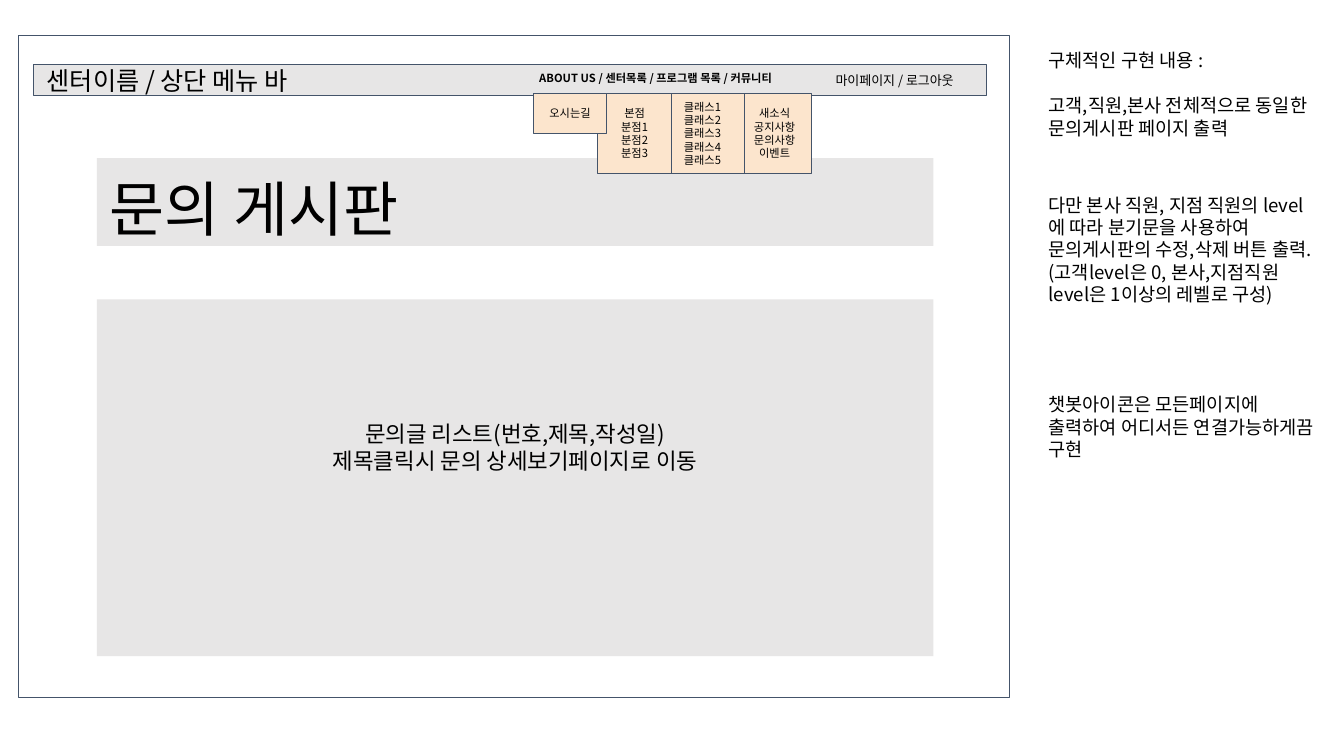
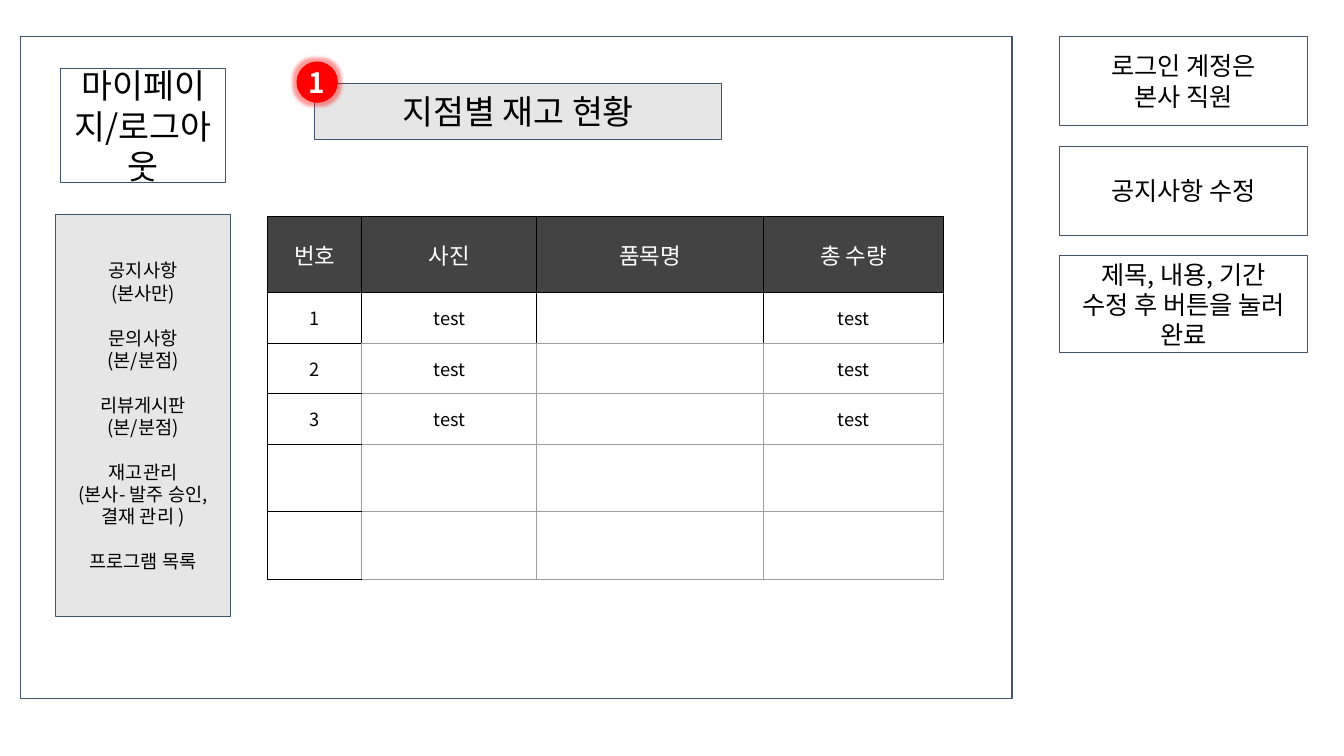
from dataclasses import dataclass
from lxml import etree
from pptx import Presentation, util as u
from pptx.dml.color import RGBColor
from pptx.enum import shapes, text
from pptx.oxml import ns

WIDTH, HEIGHT = u.Inches(13.33), u.Inches(7.5)


@dataclass(frozen=True)
class Theme:
    font: str = "Noto Sans CJK KR"
    black: str = "000000"
    white: str = "FFFFFF"
    panel: str = "E7E6E6"
    outline: str = "44546A"
    menu: str = "FCE5CD"
    header: str = "434343"
    grid: str = "9E9E9E"
    badge: str = "FF0000"
    hero: float = 42.7
    title: float = 24
    badge_size: float = 20
    heading: float = 18
    body: float = 16
    note: float = 13.3
    cell: float = 13
    login: float = 9.3
    small: float = 8
    line_width: float = 0.75
    inset: float = 0.13


THEME = Theme()
CENTER, LEFT = text.PP_ALIGN.CENTER, text.PP_ALIGN.LEFT
TOP, MIDDLE = text.MSO_ANCHOR.TOP, text.MSO_ANCHOR.MIDDLE


def apply(target, values):
    for name, value in values.items():
        setattr(target, name, value)


def percent_box(left, top, width, height):
    return [round(share * side / 100) for share, side in
            ((left, WIDTH), (top, HEIGHT), (width, WIDTH), (height, HEIGHT))]


def write_run(paragraph, words, size, color=THEME.black, bold=False):
    run = paragraph.add_run()
    run.text = words
    apply(run.font, {"name": THEME.font, "size": u.Pt(size), "bold": bold})
    run.font.color.rgb = RGBColor.from_string(color)
    latin = run.font._element.find(ns.qn("a:latin"))
    east_asian = etree.Element(ns.qn("a:ea"), typeface=THEME.font)
    latin.addnext(east_asian)


def write_groups(frame, groups, size, align=LEFT, anchor=TOP, inset=THEME.inset,
                 top_inset=None, color=THEME.black, bold=False):
    top_inset = inset if top_inset is None else top_inset
    apply(frame, {"word_wrap": True, "vertical_anchor": anchor,
                  "margin_left": u.Inches(inset), "margin_right": u.Inches(inset),
                  "margin_top": u.Inches(top_inset), "margin_bottom": u.Inches(inset)})
    paragraph = None
    for group in groups:
        for index, line in enumerate(group):
            starts_later_group = paragraph is not None and index == 0
            paragraph = frame.paragraphs[0] if paragraph is None else frame.add_paragraph()
            paragraph.alignment = align
            if starts_later_group:
                paragraph.space_before = u.Pt(round(size * 1.2))
            write_run(paragraph, line, size, color, bold)


def add_box(slide, area, fill=THEME.white, line=THEME.outline, groups=(),
            kind=shapes.MSO_SHAPE.RECTANGLE, **style):
    shape = slide.shapes.add_shape(kind, *percent_box(*area))
    shape.shadow.inherit = False
    shape.fill.solid()
    shape.fill.fore_color.rgb = RGBColor.from_string(fill)
    if line:
        shape.line.color.rgb = RGBColor.from_string(line)
        shape.line.width = u.Pt(THEME.line_width)
    else:
        shape.line.fill.background()
    if groups:
        write_groups(shape.text_frame, groups, **style)
    return shape


def add_label(slide, area, words, size, bold=False):
    label = slide.shapes.add_textbox(*percent_box(*area))
    write_groups(label.text_frame, [[words]], size, bold=bold)


def add_badge(slide, area, words):
    badge = add_box(slide, area, THEME.badge, None, [[words]],
                    kind=shapes.MSO_SHAPE.OVAL, size=THEME.badge_size, align=CENTER,
                    anchor=MIDDLE, inset=0, color=THEME.white, bold=True)
    effects = badge._element.spPr.find(ns.qn("a:effectLst"))
    glow = etree.SubElement(effects, ns.qn("a:glow"), rad=str(u.Pt(5)))
    color = etree.SubElement(glow, ns.qn("a:srgbClr"), val=THEME.badge)
    etree.SubElement(color, ns.qn("a:alpha"), val="40000")


def set_borders(cell, row, column):
    def edge_color(is_black):
        return THEME.black if is_black else THEME.grid

    edges = {"lnL": edge_color(row <= 1 or column == 0),
             "lnR": edge_color(row <= 1),
             "lnT": edge_color(row <= 1 or column == 0),
             "lnB": edge_color(row == 0 or column == 0)}
    properties = cell._tc.get_or_add_tcPr()
    for index, (tag, color) in enumerate(edges.items()):
        line = etree.Element(ns.qn(f"a:{tag}"), w=str(u.Pt(THEME.line_width)))
        fill = etree.SubElement(line, ns.qn("a:solidFill"))
        etree.SubElement(fill, ns.qn("a:srgbClr"), val=color)
        properties.insert(index, line)


def add_stock_table(slide, left, top, widths, heights, rows):
    area = percent_box(left, top, sum(widths), sum(heights))
    table = slide.shapes.add_table(len(rows), len(widths), *area).table
    for column, width in zip(table.columns, widths):
        column.width = round(WIDTH * width / 100)
    for row, height in zip(table.rows, heights):
        row.height = round(HEIGHT * height / 100)
    for row_index, values in enumerate(rows):
        is_header = row_index == 0
        for column_index, value in enumerate(values):
            cell = table.cell(row_index, column_index)
            apply(cell, {"vertical_anchor": MIDDLE,
                         "margin_top": u.Inches(0.05), "margin_bottom": u.Inches(0.05)})
            cell.fill.solid()
            cell.fill.fore_color.rgb = RGBColor.from_string(
                THEME.header if is_header else THEME.white)
            set_borders(cell, row_index, column_index)
            if value:
                paragraph = cell.text_frame.paragraphs[0]
                paragraph.alignment = CENTER
                write_run(paragraph, value, THEME.body if is_header else THEME.cell,
                          THEME.white if is_header else THEME.black)


def add_menu_bar(slide):
    add_box(slide, (2.5, 8.6, 70.88, 4), THEME.panel, groups=[["센터이름 / 상단 메뉴 바"]],
            size=THEME.heading, anchor=MIDDLE)
    add_label(slide, (39.15, 8.53, 24.68, 5.2),
              "ABOUT US / 센터목록 / 프로그램 목록 / 커뮤니티", THEME.small, bold=True)
    submenus = [
        (39.68, 5.2, CENTER, ["오시는길"]),
        (44.48, 10.5, CENTER, ["본점", "분점1", "분점2", "분점3"]),
        (49.9, 10.5, LEFT, [f"클래스{number}" for number in range(1, 6)]),
        (54.9, 10.5, CENTER, ["새소식", "공지사항", "문의사항", "이벤트"]),
    ]
    for left, height, align, items in reversed(submenus):
        add_box(slide, (left, 12.4, 5.48, height), THEME.menu, groups=[items],
                size=THEME.small, align=align, anchor=MIDDLE)
    add_label(slide, (61.2, 8.53, 15.45, 2.8), "마이페이지 / 로그아웃", THEME.login)


def build_inquiry_board(slide):
    add_box(slide, (1.35, 4.67, 73.8, 87.6))
    add_box(slide, (7.2, 20.93, 62.25, 11.6), THEME.panel, None, [["문의 게시판"]],
            size=THEME.hero)
    add_box(slide, (7.2, 39.6, 62.25, 47.2), THEME.panel, None,
            [["문의글 리스트(번호,제목,작성일)", "제목클릭시 문의 상세보기페이지로 이동"]],
            size=THEME.body, align=CENTER, top_inset=1.2)
    notes = [
        (4.8, 16.13, [["구체적인 구현 내용 :"],
                      ["고객,직원,본사 전체적으로 동일한 문의게시판 페이지 출력"]]),
        (23.87, 23.47, [["다만 본사 직원, 지점 직원의 level에 따라 분기문을 사용하여",
                         "문의게시판의 수정,삭제 버튼 출력.",
                         "(고객level은 0, 본사,지점직원 level은 1이상의 레벨로 구성)"]]),
        (50.27, 13.73, [["챗봇아이콘은 모든페이지에 출력하여 어디서든 연결가능하게끔 구현"]]),
    ]
    for top, height, groups in notes:
        add_box(slide, (77.04, top, 21.76, height), line=None, groups=groups, size=THEME.note)
    add_menu_bar(slide)


def build_stock_status(slide):
    centered = {"align": CENTER, "anchor": MIDDLE}
    add_box(slide, (1.5, 4.8, 73.8, 87.6))
    notes = [(11.8, ["로그인 계정은", "본사 직원"]),
             (11.8, ["공지사항 수정"]),
             (12.8, ["제목, 내용, 기간", "수정 후 버튼을 눌러 완료"])]
    for index, (height, lines) in enumerate(notes):
        add_box(slide, (78.84, 4.8 + 14.53 * index, 18.45, height), groups=[lines],
                size=THEME.heading, **centered)
    add_box(slide, (23.4, 11.07, 30.3, 7.33), THEME.panel, groups=[["지점별 재고 현황"]],
            size=THEME.title, **centered)
    add_box(slide, (4.5, 9.07, 12.3, 15.07), groups=[["마이페이지/로그아웃"]],
            size=THEME.title, **centered)
    add_box(slide, (4.13, 28.4, 13.05, 53.2), THEME.panel,
            groups=[["공지사항", "(본사만)"], ["문의사항", "(본/분점)"],
                    ["리뷰게시판", "(본/분점)"],
                    ["재고관리", "(본사- 발주 승인, 결재 관리 )"], ["프로그램 목록"]],
            size=THEME.note, **centered)
    stock = [["번호", "사진", "품목명", "총 수량"]]
    stock += [[str(number), "test", "", "test"] for number in range(1, 4)]
    stock += [[""] * 4] * 2
    add_stock_table(slide, 19.88, 28.67, (7.05, 13, 16.9, 13.35),
                    (10, 6.7, 6.7, 6.7, 8.95, 8.95), stock)
    add_badge(slide, (22.06, 8.13, 3.08, 5.47), "1")


def main():
    presentation = Presentation()
    apply(presentation, {"slide_width": WIDTH, "slide_height": HEIGHT})
    for build in (build_inquiry_board, build_stock_status):
        build(presentation.slides.add_slide(presentation.slide_layouts[6]))
    presentation.save("out.pptx")


if __name__ == "__main__":
    main()
